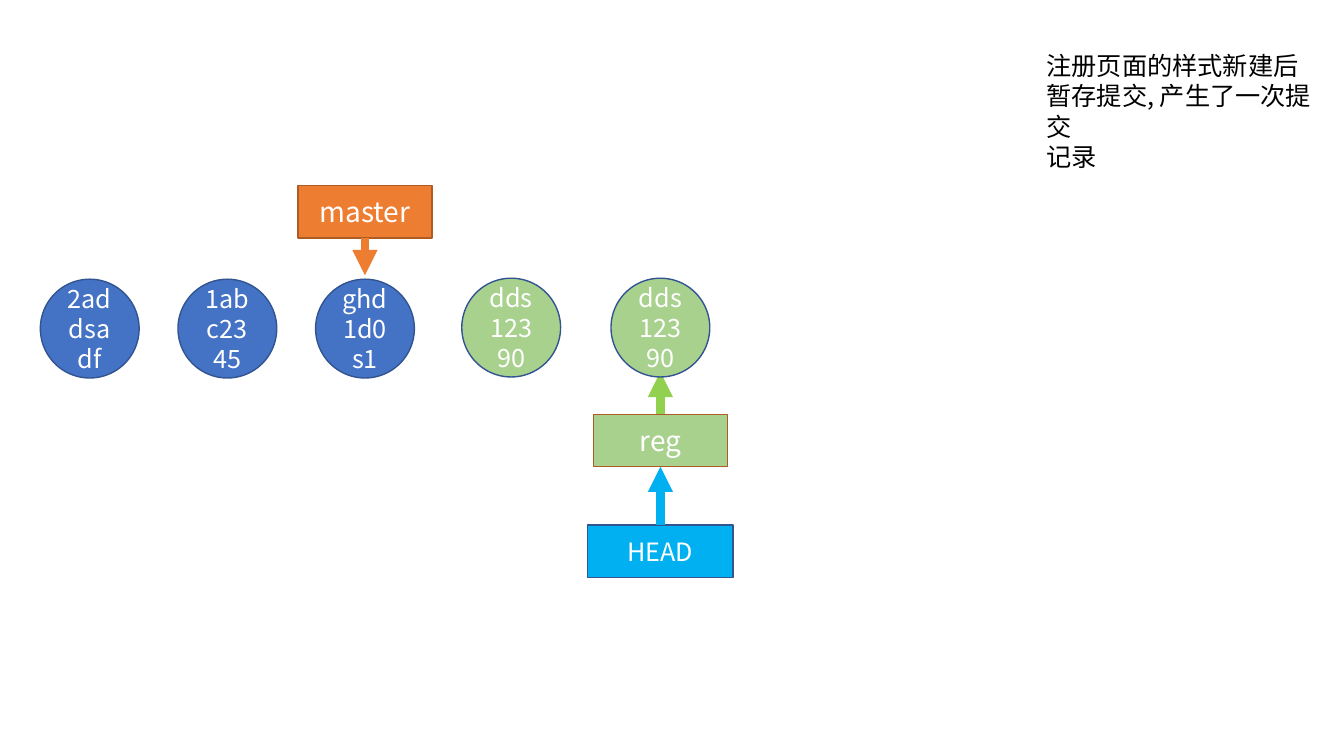
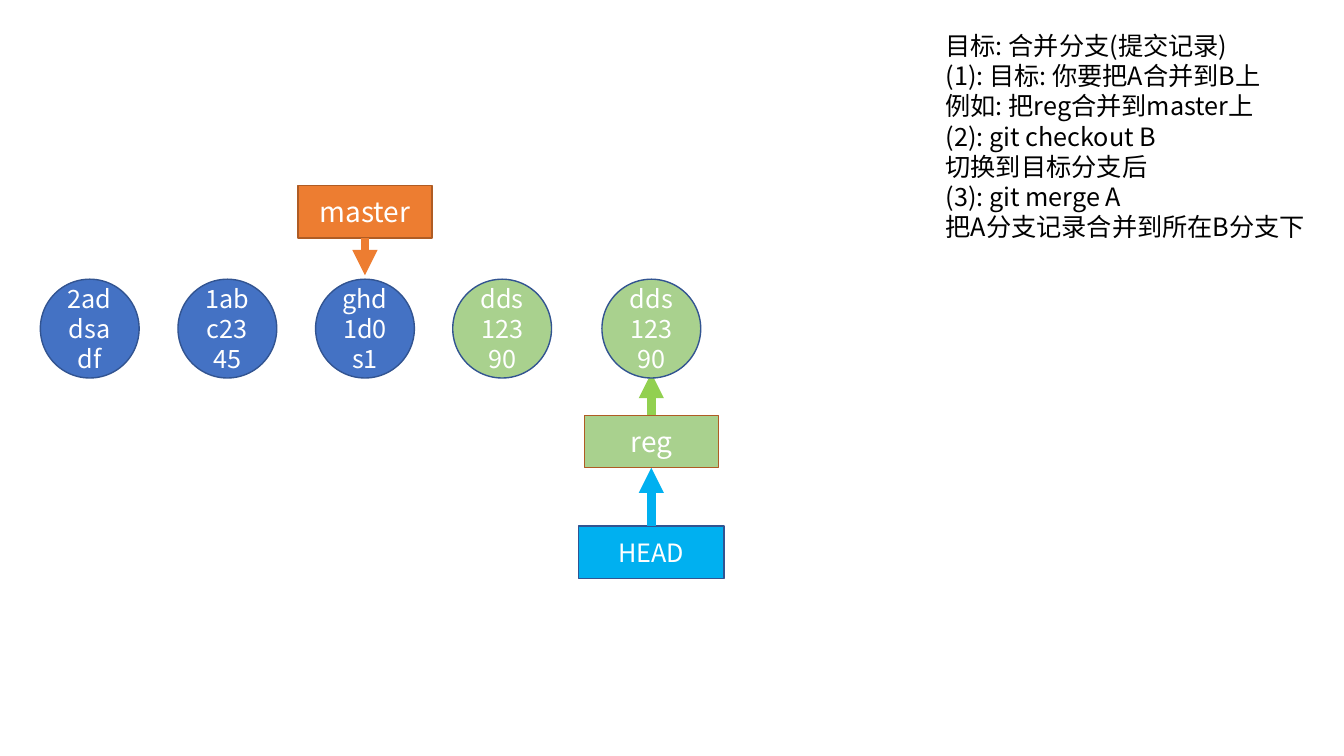
from lxml.etree import SubElement
from pptx import Presentation
from pptx.dml.color import RGBColor
from pptx.enum.shapes import MSO_CONNECTOR, MSO_SHAPE
from pptx.enum.text import MSO_ANCHOR, PP_ALIGN
from pptx.oxml.ns import qn
from pptx.util import Inches, Pt

# Content: lengths are inches
TRUNK = ["2addsadf", "1abc2345", "ghd1d0s1"]
BRANCH = ["dds12390", "dds12390"]
SLIDES = [
    {"branch_left": 4.58, "branch_top": 2.76, "note_at": (10.28, 0.45, 3.05, 1.01),
     "note": ["注册页面的样式新建后", "暂存提交, 产生了一次提交", "记录"]},
    {"branch_left": 4.49, "branch_top": 2.77, "note_at": (9.28, 0.25, 4.05, 2.52),
     "note": ["目标: 合并分支(提交记录)", "(1): 目标: 你要把A合并到B上", "例如: 把reg合并到master上",
              "(2): git checkout B", "切换到目标分支后", "(3): git merge A",
              "把A分支记录合并到所在B分支下"]},
]

# Shared style
FONT = "Noto Sans CJK SC"
BLUE, GREEN, ORANGE, CYAN = "4472C4", "A9D18E", "ED7D31", "00B0F0"
ARROW_GREEN, NAVY, BROWN = "92D050", "325491", "AF5C24"
WHITE, BLACK = "FFFFFF", "000000"

# Grid
COMMIT = 0.98
TRUNK_LEFT, TRUNK_TOP, TRUNK_PITCH = 0.4, 2.77, 1.365
BRANCH_PITCH = 1.48
LABEL_WIDTH, HEAD_WIDTH, LABEL_HEIGHT = 1.33, 1.44, 0.52
MASTER_RISE, REG_DROP, HEAD_DROP = 0.93, 1.35, 2.45


def color(value):
    return RGBColor.from_string(value)


def style_text(frame, size, text_color, align):
    for para in frame.paragraphs:
        para.alignment = align
        for span in para.runs:
            span.font.size = Pt(size)
            span.font.name = FONT
            span.font.color.rgb = color(text_color)
            SubElement(span.font._element, qn("a:ea"), typeface=FONT)


def add_node(page, kind, at, text, fill, line, size=18):
    node = page.shapes.add_shape(kind, *map(Inches, at))
    node.shadow.inherit = False
    node.fill.solid()
    node.fill.fore_color.rgb = color(fill)
    node.line.color.rgb = color(line)
    node.line.width = Pt(1)
    frame = node.text_frame
    frame.text = text
    frame.word_wrap = True
    frame.vertical_anchor = MSO_ANCHOR.MIDDLE
    style_text(frame, size, WHITE, PP_ALIGN.CENTER)


def add_commits(page, names, left, top, pitch, fill):
    for index, name in enumerate(names):
        at = (left + index * pitch, top, COMMIT, COMMIT)
        add_node(page, MSO_SHAPE.OVAL, at, name, fill, NAVY)


def add_label(page, text, center, top, fill, line, width=LABEL_WIDTH, size=20):
    at = (center - width / 2, top, width, LABEL_HEIGHT)
    add_node(page, MSO_SHAPE.RECTANGLE, at, text, fill, line, size)


def add_arrow(page, center, start, end, line):
    ends = map(Inches, (center, start, center, end))
    arrow = page.shapes.add_connector(MSO_CONNECTOR.STRAIGHT, *ends)
    arrow.line.color.rgb = color(line)
    arrow.line.width = Pt(6)
    SubElement(arrow.line._get_or_add_ln(), qn("a:tailEnd"), type="triangle")
    SubElement(arrow._element.spPr, qn("a:effectLst"))


def add_note(page, at, lines):
    box = page.shapes.add_textbox(*map(Inches, at))
    frame = box.text_frame
    frame.word_wrap = True
    frame.text = "\n".join(lines)
    style_text(frame, 18, BLACK, PP_ALIGN.LEFT)


deck = Presentation()
deck.slide_width, deck.slide_height = Inches(13.33), Inches(7.5)

for content in SLIDES:
    page = deck.slides.add_slide(deck.slide_layouts[6])

    # Trunk commits, with master pointing down at the last one
    add_commits(page, TRUNK, TRUNK_LEFT, TRUNK_TOP, TRUNK_PITCH, BLUE)
    center = TRUNK_LEFT + (len(TRUNK) - 1) * TRUNK_PITCH + COMMIT / 2
    master_top = TRUNK_TOP - MASTER_RISE
    add_label(page, "master", center, master_top, ORANGE, BROWN)
    add_arrow(page, center, master_top + LABEL_HEIGHT, TRUNK_TOP - 0.04, ORANGE)

    # HEAD points up at reg, and reg at the last branch commit
    left, top = content["branch_left"], content["branch_top"]
    center = left + (len(BRANCH) - 1) * BRANCH_PITCH + COMMIT / 2
    reg_top, head_top = top + REG_DROP, top + HEAD_DROP
    add_label(page, "HEAD", center, head_top, CYAN, NAVY, HEAD_WIDTH, 18)
    add_arrow(page, center, head_top, reg_top + LABEL_HEIGHT, CYAN)
    add_label(page, "reg", center, reg_top, GREEN, BROWN)
    add_arrow(page, center, reg_top, top + COMMIT - 0.05, ARROW_GREEN)
    add_commits(page, BRANCH, left, top, BRANCH_PITCH, GREEN)

    # Explanation at the upper right
    add_note(page, content["note_at"], content["note"])

deck.save("out.pptx")
